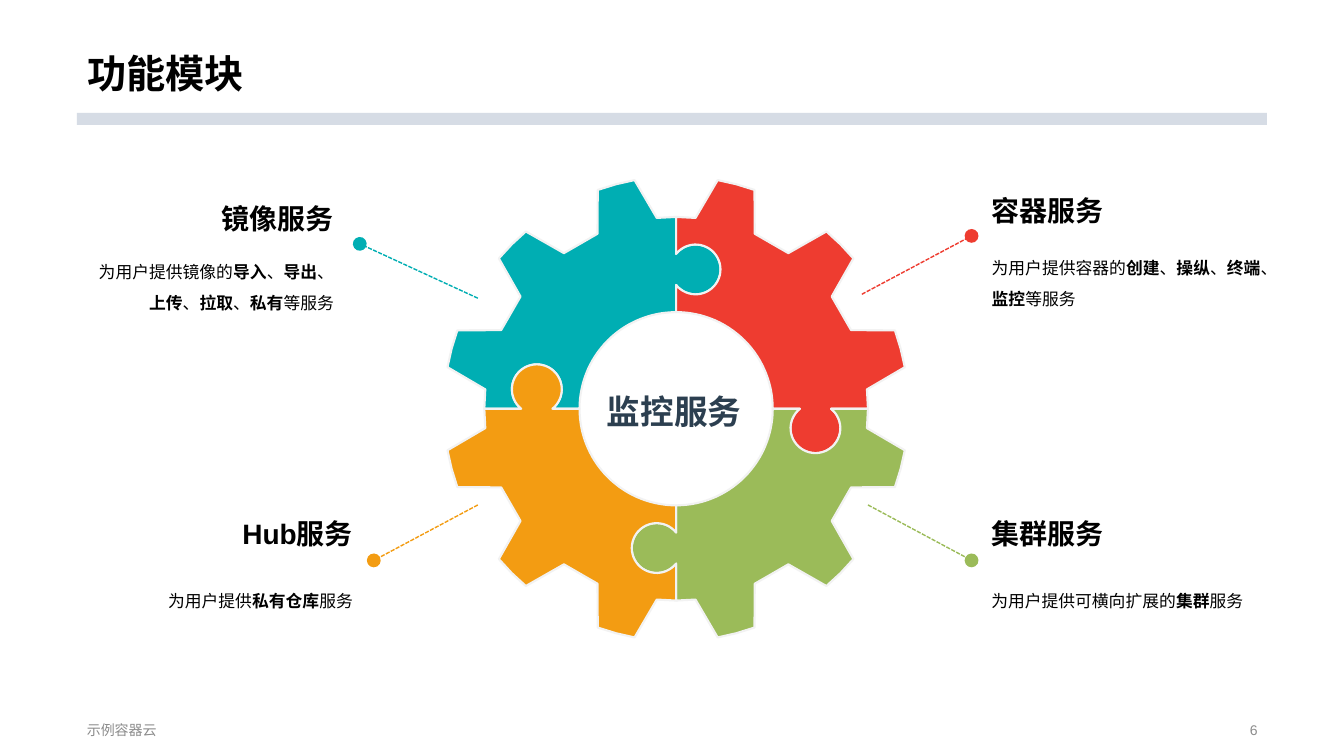
import math
from lxml import etree
from pptx import Presentation
from pptx.dml.color import RGBColor
from pptx.enum import dml, shapes, text
from pptx.oxml import ns
from pptx.util import Pt

LEFT, CENTER, RIGHT = text.PP_ALIGN.LEFT, text.PP_ALIGN.CENTER, text.PP_ALIGN.RIGHT
MIDDLE, BOTTOM = text.MSO_ANCHOR.MIDDLE, text.MSO_ANCHOR.BOTTOM
rgb = RGBColor.from_string


def write(shape, box, words, size, color="000000", bold=False, align=LEFT, spacing=1.0, anchor=MIDDLE):
    """Place a shape and fill it with one paragraph; words between asterisks are bold."""
    for name, value in zip(("left", "top", "width", "height"), box):
        setattr(shape, name, Pt(value))
    frame = shape.text_frame
    paragraph = frame.paragraphs[0]
    frame_format = {"word_wrap": True, "auto_size": text.MSO_AUTO_SIZE.NONE, "vertical_anchor": anchor}
    for target, values in ((frame, frame_format),
                           (paragraph, {"alignment": align, "line_spacing": spacing})):
        for name, value in values.items():
            setattr(target, name, value)
    for index, part in enumerate(words.split("*")):
        run = paragraph.add_run()
        run.text = part
        run.font.color.rgb = rgb(color)
        font_format = {"name": "Arial", "size": Pt(size), "bold": bold or index % 2 == 1}
        for name, value in font_format.items():
            setattr(run.font, name, value)


def gear_point(turn, radius, offset=0):
    """Return the point at a clockwise turn from the top, moved sideways by offset."""
    angle = math.radians(turn)
    return (Pt(483 + radius * math.sin(angle) + offset * math.cos(angle)),
            Pt(292 - radius * math.cos(angle) + offset * math.sin(angle)))


presentation = Presentation()
presentation.slide_width, presentation.slide_height = Pt(960), Pt(540)
slide = presentation.slides.add_slide(presentation.slide_layouts[5])

# Title, rule and footer
write(slide.shapes.title, (55, 0, 850, 72.7), "功能模块", 28, bold=True, spacing=0.9, anchor=BOTTOM)
rule = slide.shapes.add_shape(shapes.MSO_SHAPE.RECTANGLE, Pt(55), Pt(80.6), Pt(850), Pt(8.6))
rule.shadow.inherit = False
rule.fill.solid()
rule.fill.fore_color.rgb = rgb("D6DCE5")
rule.line.fill.background()
for left, width, words, align in ((55, 324, "示例容器云", LEFT), (678, 227.5, "6", RIGHT)):
    footer = slide.shapes.add_textbox(0, 0, 0, 0)
    write(footer, (left, 513, width, 16.6), words, 10, "8C8C8C", align=align)

# Gear of four interlocking quarters, each with three teeth and one knob
ROOT, TIP, HUB = 137, 166, 69
KNOB_RADIUS, KNOB_DISTANCE, KNOB_OFFSET = 17.8, 99.5, 13.9
neck = math.degrees(math.asin(KNOB_OFFSET / KNOB_RADIUS))
knob_turns = [math.radians(-neck + step * (180 + 2 * neck) / 40) for step in range(41)]
knob = [(KNOB_DISTANCE + KNOB_RADIUS * math.cos(turn), KNOB_OFFSET + KNOB_RADIUS * math.sin(turn))
        for turn in knob_turns]
tooth = ((-9.2, ROOT), (-4.7, TIP), (0, TIP), (4.7, TIP), (9.2, ROOT))

for start, color in ((270, "00AEB3"), (0, "EE3C30"), (90, "9BBB59"), (180, "F39C12")):
    end = start + 90
    points = [gear_point(start, ROOT)]
    points += [gear_point(start + middle + turn, radius)
               for middle in (15, 45, 75) for turn, radius in tooth]
    points.append(gear_point(end, ROOT))
    points += [gear_point(end, *position) for position in knob]
    points += [gear_point(end - step, HUB) for step in range(0, 91, 3)]
    points += [gear_point(start, *position) for position in reversed(knob)]
    builder = slide.shapes.build_freeform(*points[0])
    builder.add_line_segments(points[1:], close=True)
    quarter = builder.convert_to_shape()
    quarter.shadow.inherit = False
    quarter.fill.solid()
    quarter.fill.fore_color.rgb = rgb(color)
    quarter.line.color.rgb = rgb("F2F2F2")
    quarter.line.width = Pt(1.5)

hub_label = slide.shapes.add_textbox(0, 0, 0, 0)
write(hub_label, (416, 275.8, 131, 36), "监控服务", 24, "2C3F50", True, CENTER)

# Callouts: colour, leader ends, heading box, body height, alignment, wording
callouts = (
    ("EE3C30", (615.6, 210.2, 694, 168.5), (701.3, 137.5, 206.6), 64.8, LEFT,
     "容器服务", "为用户提供容器的*创建*、*操纵*、*终端*、*监控*等服务"),
    ("9BBB59", (620, 360.7, 694, 400.3), (701, 368, 206.6), 56.9, LEFT,
     "集群服务", "为用户提供可横向扩展的*集群*服务"),
    ("F39C12", (341.3, 360.7, 267, 400.3), (52.6, 368, 206.6), 56.9, RIGHT,
     "Hub服务", "为用户提供*私有仓库*服务"),
    ("00AEB3", (341.3, 213, 257, 174.2), (52.6, 143.3, 193), 59, RIGHT,
     "镜像服务", "为用户提供镜像的*导入*、*导出*、*上传*、*拉取*、*私有*等服务"),
)
for color, ends, (left, top, width), body_height, align, heading, body in callouts:
    leader = slide.shapes.add_connector(shapes.MSO_CONNECTOR.STRAIGHT, *map(Pt, ends))
    leader.line.color.rgb = rgb(color)
    leader.line.width = Pt(1)
    leader.line.dash_style = dml.MSO_LINE.SQUARE_DOT
    properties = leader.element.spPr
    etree.SubElement(properties.find(ns.qn("a:ln")), ns.qn("a:tailEnd"), type="oval", w="lg", len="lg")
    etree.SubElement(properties, ns.qn("a:effectLst"))
    heading_box = slide.shapes.add_textbox(0, 0, 0, 0)
    write(heading_box, (left, top, width, 25.2), heading, 20, bold=True, align=align)
    body_box = slide.shapes.add_textbox(0, 0, 0, 0)
    write(body_box, (left, top + 28.8, width, body_height), body, 12, align=align, spacing=1.5)

presentation.save("out.pptx")
